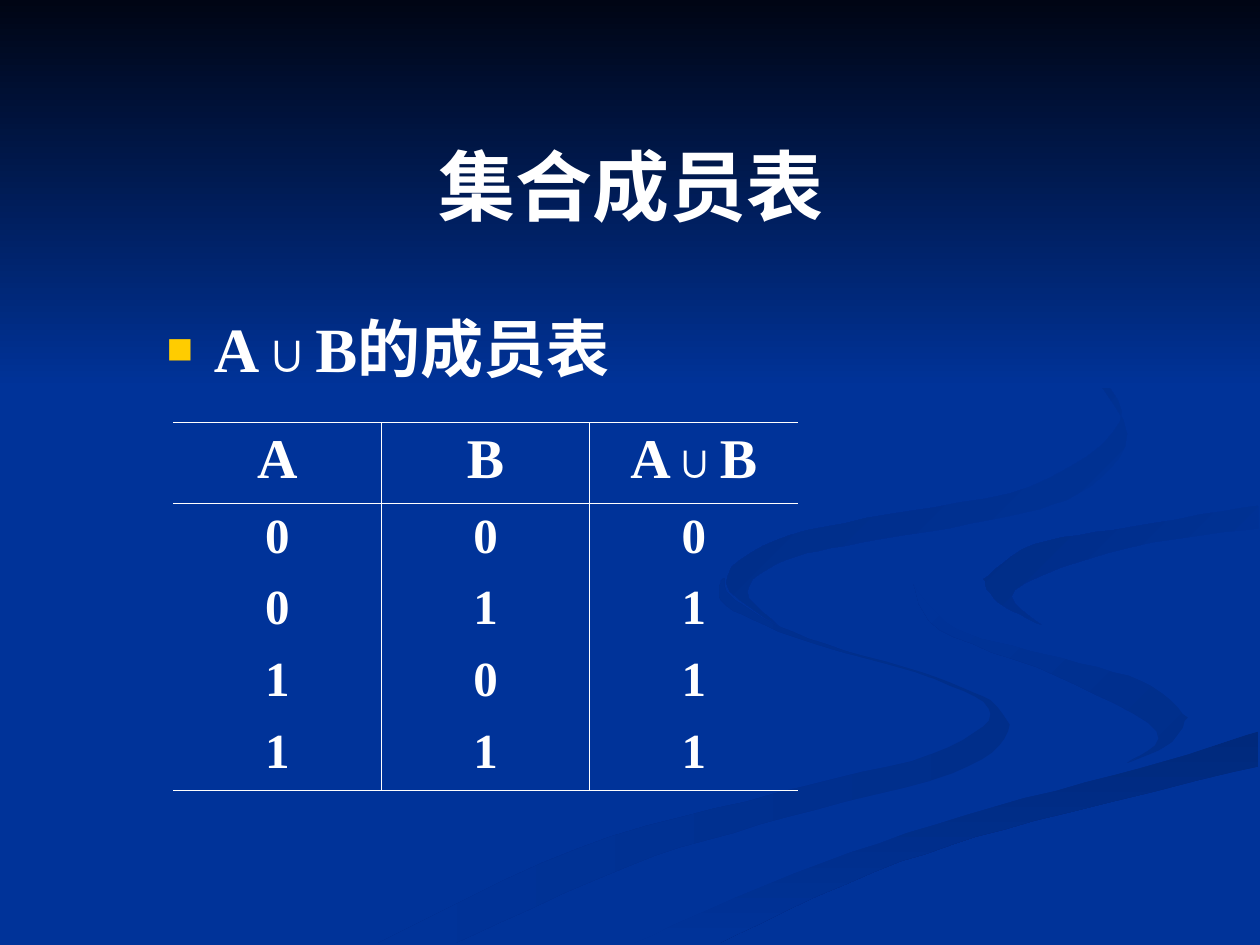
from lxml.etree import SubElement
from pptx import Presentation
from pptx.dml.color import RGBColor
from pptx.enum.text import MSO_ANCHOR, MSO_AUTO_SIZE, PP_ALIGN
from pptx.oxml import parse_xml
from pptx.oxml.ns import nsdecls, qn
from pptx.util import Pt

# Content
TITLE = "集合成员表"
BULLET = [("A", 36), ("∪", 32), ("B的成员表", 36)]
HEADER = [[("A", 32)], [("B", 32)], [("A", 32), ("∪", 28), ("B", 32)]]
MEMBERSHIP = [(a, b, a | b) for a in (0, 1) for b in (0, 1)]

COLORS = {"blue": "003399", "night": "000514", "white": "FFFFFF", "yellow": "FFCC00",
          "shade1": "002E8A", "shade2": "00297C", "shade3": "002C85", "shade4": "002B81"}
FONT = "Times New Roman"
WIDTH, HEIGHT = 720, 540

# Edges shared by neighbouring ribbons
SWOOP = [(522, 334), (546, 359), (598, 374), (652, 389), (679, 410)]
RISE = [(362, 539), (454, 499), (551, 466), (651, 439), (719, 418)]
CREST = [(562, 331), (591, 311), (647, 301), (719, 289)]

# Ribbons: start colour, end colour, clockwise angle, edges drawn as smooth curves
RIBBONS = [
    ("shade1", "blue", 180, [
        [(566, 400), (526, 384), (462, 365), (420, 343), (414, 330)],
        [(412, 332), (415, 346), (454, 364), (534, 388), (566, 408), (532, 431),
         (444, 453), (330, 485), (216, 539)],
        [(260, 539), (359, 495), (449, 467), (544, 442), (576, 418), (566, 400)]]),
    ("shade1", "blue", 225, [
        SWOOP[::-1],
        [(522, 334), (537, 360), (603, 386), (661, 418), (644, 436)],
        [(644, 436), (671, 424), (679, 410)]]),
    ("shade2", "blue", 90, [
        RISE, [(719, 438), (591, 469), (500, 498), (411, 539)]]),
    ("blue", "blue", 0, [
        SWOOP, [(679, 410), (656, 432), (562, 456), (446, 492), (343, 539)],
        RISE, [(719, 387), (650, 374), (579, 349), (562, 331)],
        CREST, [(719, 279), (629, 294), (554, 307), (522, 334)]]),
    ("blue", "shade3", 225, [
        CREST, [(719, 302), (645, 313), (580, 337), (595, 357)],
        [(595, 357), (570, 344), (562, 331)]]),
    ("blue", "shade4", 225, [
        [(549, 168), (607, 198), (644, 248), (616, 282), (566, 297), (492, 310),
         (449, 320), (427, 338), (448, 360)],
        [(448, 360), (415, 333), (443, 309), (507, 294), (589, 278), (640, 241),
         (616, 205), (549, 168)]]),
    # Night sky fading into the blue
    ("night", "blue", 90, [[(0, 0), (0, 222)], [(WIDTH, 222), (WIDTH, 0)]]),
]


def rgb(name):
    return RGBColor.from_string(COLORS[name])


def smooth(edge, steps=6):
    """Return points on a Catmull-Rom curve through the points of an edge."""
    if len(edge) == 2:
        return edge
    knots = [edge[0], *edge, edge[-1]]
    curve = [edge[0]]
    for group in zip(knots, knots[1:], knots[2:], knots[3:]):
        for step in range(1, steps + 1):
            t = step / steps
            curve.append(tuple(
                b + t * (c - a) / 2 + t * t * (2 * a - 5 * b + 4 * c - d) / 2
                + t ** 3 * (3 * b - a - 3 * c + d) / 2
                for a, b, c, d in zip(*group)))
    return curve


def add_ribbon(slide, start, end, angle, edges):
    outline = [point for edge in edges for point in smooth(edge)]
    builder = slide.shapes.build_freeform(*outline[0], scale=Pt(1))
    builder.add_line_segments(outline[1:], close=True)
    ribbon = builder.convert_to_shape()
    ribbon.shadow.inherit = False
    ribbon.line.fill.background()
    if start == end:
        ribbon.fill.solid()
        ribbon.fill.fore_color.rgb = rgb(start)
        return
    ribbon.fill.gradient()
    ribbon.fill.gradient_angle = (360 - angle) % 360
    for stop, color in zip(ribbon.fill.gradient_stops, (start, end)):
        stop.color.rgb = rgb(color)


def write(frame, runs, align=PP_ALIGN.LEFT, anchor=MSO_ANCHOR.TOP):
    """Fill a text frame with one paragraph of (text, size) runs."""
    frame.word_wrap = True
    frame.vertical_anchor = anchor
    line = frame.paragraphs[0]
    line.alignment = align
    line.space_before = Pt(0)
    for text, size in runs:
        run = line.add_run()
        run.text = text
        run.font.name, run.font.size, run.font.bold = FONT, Pt(size), True
        run.font.color.rgb = rgb("white")
    return line


def add_bullet(line, char, color, percent):
    props = line._p.get_or_add_pPr()
    props.set("marL", str(Pt(27)))
    props.set("indent", str(-Pt(27)))
    SubElement(SubElement(props, qn("a:buClr")), qn("a:srgbClr"), val=COLORS[color])
    SubElement(props, qn("a:buSzPct"), val=str(percent * 1000))
    SubElement(props, qn("a:buChar"), char=char)


def set_borders(cell, **sides):
    props = cell._tc.get_or_add_tcPr()
    for position, (side, shown) in enumerate(sides.items()):
        paint = (f'<a:solidFill><a:srgbClr val="{COLORS["white"]}"/></a:solidFill>'
                 if shown else "<a:noFill/>")
        props.insert(position, parse_xml(
            f'<a:ln{side} {nsdecls("a")} w="{Pt(0.45)}">{paint}</a:ln{side}>'))


def place(shape, left, top, width, height):
    shape.left, shape.top, shape.width, shape.height = map(Pt, (left, top, width, height))


def main():
    deck = Presentation()
    deck.slide_width, deck.slide_height = Pt(WIDTH), Pt(HEIGHT)
    slide = deck.slides.add_slide(deck.slide_layouts[1])
    slide.background.fill.solid()
    slide.background.fill.fore_color.rgb = rgb("blue")

    # Backdrop
    for ribbon in RIBBONS:
        add_ribbon(slide, *ribbon)

    # Title and bullet, brought in front of the backdrop
    title, body = slide.shapes.title, slide.placeholders[1]
    place(title, 36.5, 60.5, 648, 90)
    place(body, 88, 173.5, 286.5, 51)
    for holder in (title, body):
        slide.shapes._spTree.append(holder._element)
        holder.text_frame.auto_size = MSO_AUTO_SIZE.NONE
    write(title.text_frame, [(TITLE, 44)], align=PP_ALIGN.CENTER, anchor=MSO_ANCHOR.MIDDLE)
    add_bullet(write(body.text_frame, BULLET), "■", "yellow", 70)

    # Membership table
    rows = [HEADER] + [[[(str(value), 28)] for value in row] for row in MEMBERSHIP]
    heights = [46] + [41] * len(MEMBERSHIP)
    last_row, last_col = len(rows) - 1, len(HEADER) - 1
    table = slide.shapes.add_table(len(rows), len(HEADER), Pt(99), Pt(241.5),
                                   Pt(357), Pt(sum(heights))).table
    table.first_row = table.horz_banding = False
    for column in table.columns:
        column.width = Pt(119)
    for r, (row, height) in enumerate(zip(rows, heights)):
        table.rows[r].height = Pt(height)
        for c, runs in enumerate(row):
            cell = table.cell(r, c)
            write(cell.text_frame, runs, align=PP_ALIGN.CENTER)
            cell.fill.background()
            set_borders(cell, L=c > 0, R=c < last_col, T=r < 2, B=r in (0, last_row))

    deck.save("out.pptx")


if __name__ == "__main__":
    main()
